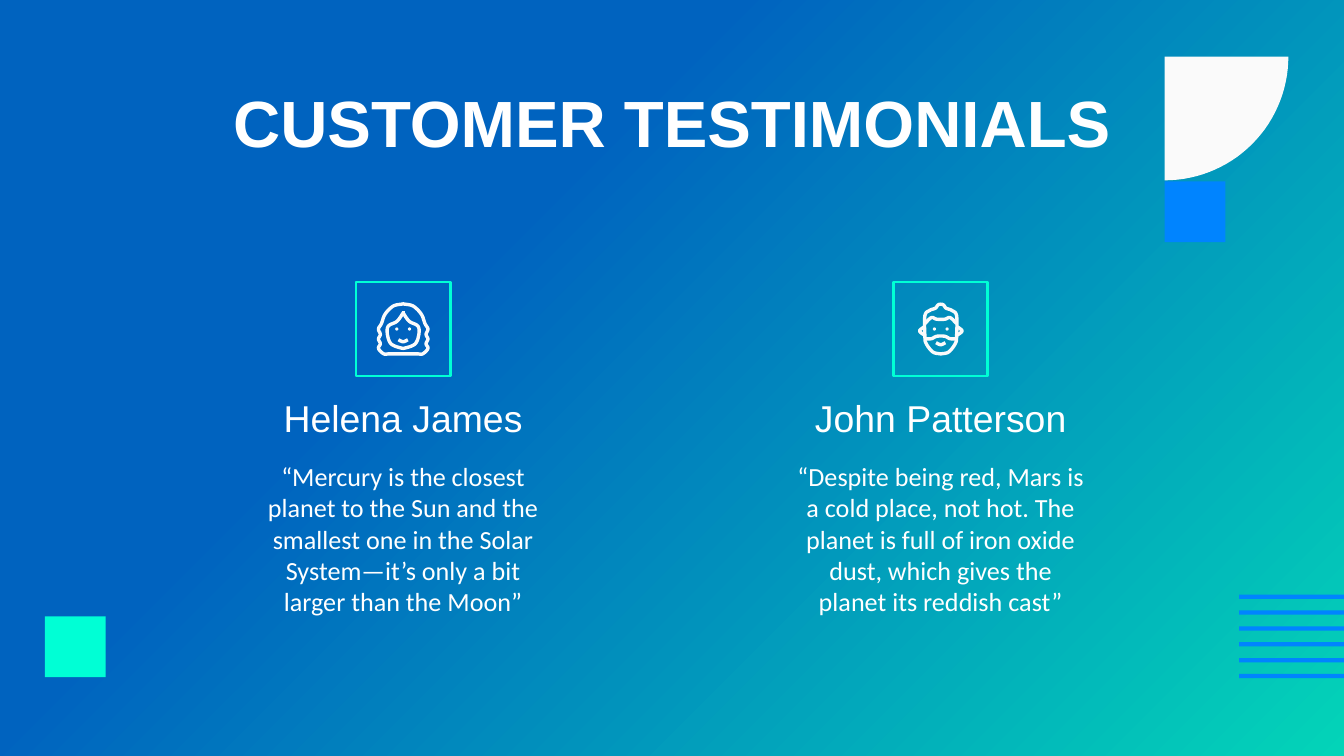
import math

import pptx
import pptx.dml.color
import pptx.enum.shapes
import pptx.enum.text
import pptx.util

Cm = pptx.util.Cm
Pt = pptx.util.Pt
RGBColor = pptx.dml.color.RGBColor
Shape = pptx.enum.shapes.MSO_SHAPE

DEEP_BLUE = RGBColor(0x00, 0x63, 0xBF)
TEAL = RGBColor(0x03, 0xD4, 0xB8)
BRIGHT_BLUE = RGBColor(0x00, 0x84, 0xFF)
MINT = RGBColor(0x00, 0xFF, 0xD5)
OFF_WHITE = RGBColor(0xFA, 0xFA, 0xFA)
WHITE = RGBColor(0xFF, 0xFF, 0xFF)

ICON_UNIT = 0.0254
ICON_CENTER_Y = 6.22
FRAME_SIZE = 1.78
COLUMN_WIDTH = 8.08


def mirrored(right_half):
    return right_half + [(-x, y) for x, y in reversed(right_half)]


WOMAN_STROKES = [
    mirrored([(0, 18.5), (10, 18.5), (14.5, 18.5), (18.4, 14.5), (17, 11),
              (18.4, 7.5), (17, 4), (18.4, 0), (16.2, -4), (13.5, -11),
              (7.5, -17), (1, -18.5)]),
    mirrored([(0, -12), (4.5, -5.8), (11, -2.2), (11.7, 4), (9, 11), (2, 14)])
    + [(0, -12)],
    [(-3.5, 8), (0, 9.5), (3.5, 8)],
]
MAN_STROKES = [
    mirrored([(0, 18.5), (6, 17), (11, 10.5), (11.8, 5), (11.8, -10),
              (8, -14), (4, -15.5), (2, -18), (0, -18.5)]),
    mirrored([(-11.8, -4), (-7, -8.5), (-3, -7.3)]),
    mirrored([(-11.8, 7.2), (-7, 7.2), (-3, 5.4)]),
    [(-12, -1.8), (-15.8, 1.4), (-12, 4.7)],
    [(12, -1.8), (15.8, 1.4), (12, 4.7)],
    [(-3.5, 10.2), (0, 11.7), (3.5, 10.2)],
]

TESTIMONIALS = [
    (7.62, "Helena James", WOMAN_STROKES, [
        "“Mercury is the closest", "planet to the Sun and the",
        "smallest one in the Solar", "System—it’s only a bit",
        "larger than the Moon”"]),
    (17.78, "John Patterson", MAN_STROKES, [
        "“Despite being red, Mars is", "a cold place, not hot. The",
        "planet is full of iron oxide", "dust, which gives the",
        "planet its reddish cast”"]),
]


def set_background(slide):
    fill = slide.background.fill
    fill.gradient()
    fill.gradient_angle = 315
    stops = [(0.35, DEEP_BLUE), (1.0, TEAL)]
    for stop, (position, color) in zip(fill.gradient_stops, stops):
        stop.position = position
        stop.color.rgb = color


def style_shape(shape, fill=None, line=None, width=1.5):
    shape.shadow.inherit = False
    if fill is None:
        shape.fill.background()
    else:
        shape.fill.solid()
        shape.fill.fore_color.rgb = fill
    if line is None:
        shape.line.fill.background()
    else:
        shape.line.color.rgb = line
        shape.line.width = Pt(width)


def add_preset(slide, kind, left, top, width, height, **style):
    shape = slide.shapes.add_shape(kind, Cm(left), Cm(top), Cm(width), Cm(height))
    style_shape(shape, **style)


def add_outline(slide, points, close, **style):
    places = [(Cm(x), Cm(y)) for x, y in points]
    builder = slide.shapes.build_freeform(*places[0])
    builder.add_line_segments(places[1:], close=close)
    style_shape(builder.convert_to_shape(), **style)


def add_quarter_disc(slide, left, top, radius):
    angles = [math.radians(degree) for degree in range(0, 91, 3)]
    arc = [(left + radius * math.cos(a), top + radius * math.sin(a)) for a in angles]
    add_outline(slide, [(left, top)] + arc, True, fill=OFF_WHITE)


def smooth_curve(points, steps=6):
    padded = [points[0]] + points + [points[-1]]
    curve = [points[0]]
    for a, b, c, d in zip(padded, padded[1:], padded[2:], padded[3:]):
        for step in range(1, steps + 1):
            t = step / steps
            curve.append(tuple(
                b[i] + 0.5 * t * (c[i] - a[i]
                + t * (2 * a[i] - 5 * b[i] + 4 * c[i] - d[i]
                + t * (3 * b[i] - a[i] - 3 * c[i] + d[i])))
                for i in (0, 1)))
    return curve


def add_portrait(slide, center, strokes):
    for stroke in strokes:
        points = [(center + x * ICON_UNIT, ICON_CENTER_Y + y * ICON_UNIT)
                  for x, y in smooth_curve(stroke)]
        add_outline(slide, points, False, line=OFF_WHITE, width=1.8)
    for side in (-1, 1):
        add_preset(slide, Shape.OVAL, center + side * 0.12 - 0.03,
                   ICON_CENTER_Y - 0.03, 0.06, 0.06, fill=OFF_WHITE)


def add_text(slide, left, top, width, height, lines, font, size, bold=False):
    box = slide.shapes.add_textbox(Cm(left), Cm(top), Cm(width), Cm(height))
    frame = box.text_frame
    frame.word_wrap = True
    frame.vertical_anchor = pptx.enum.text.MSO_ANCHOR.MIDDLE
    frame.margin_left = frame.margin_right = Cm(0.25)
    frame.margin_top = frame.margin_bottom = Cm(0.25)
    frame.text = "\n".join(lines)
    for para in frame.paragraphs:
        para.alignment = pptx.enum.text.PP_ALIGN.CENTER
        para.font.name = font
        para.font.size = Pt(size)
        para.font.bold = bold
        para.font.color.rgb = WHITE


def add_decorations(slide):
    for row in range(6):
        add_preset(slide, Shape.RECTANGLE, 23.42, 11.24 + row * 0.3, 1.98, 0.08,
                   fill=BRIGHT_BLUE)
    add_preset(slide, Shape.RECTANGLE, 0.85, 11.65, 1.15, 1.15, fill=MINT)
    add_preset(slide, Shape.RECTANGLE, 22.01, 3.43, 1.15, 1.15, fill=BRIGHT_BLUE)
    add_quarter_disc(slide, 22.01, 1.07, 2.34)


def add_testimonial(slide, center, name, strokes, quote):
    add_preset(slide, Shape.RECTANGLE, center - FRAME_SIZE / 2,
               ICON_CENTER_Y - FRAME_SIZE / 2, FRAME_SIZE, FRAME_SIZE, line=MINT)
    add_portrait(slide, center, strokes)
    left = center - COLUMN_WIDTH / 2
    add_text(slide, left, 6.91, COLUMN_WIDTH, 1.98, [name], "Arial", 20)
    add_text(slide, left, 8.61, COLUMN_WIDTH, 3.15, quote, "Calibri", 14)


def main():
    deck = pptx.Presentation()
    deck.slide_width = Cm(25.4)
    deck.slide_height = Cm(14.29)
    slide = deck.slides.add_slide(deck.slide_layouts[6])
    set_background(slide)
    add_decorations(slide)
    add_text(slide, 2, 1.5, 21.41, 1.6, ["CUSTOMER TESTIMONIALS"], "Arial", 35, True)
    for testimonial in TESTIMONIALS:
        add_testimonial(slide, *testimonial)
    deck.save("out.pptx")


if __name__ == "__main__":
    main()
